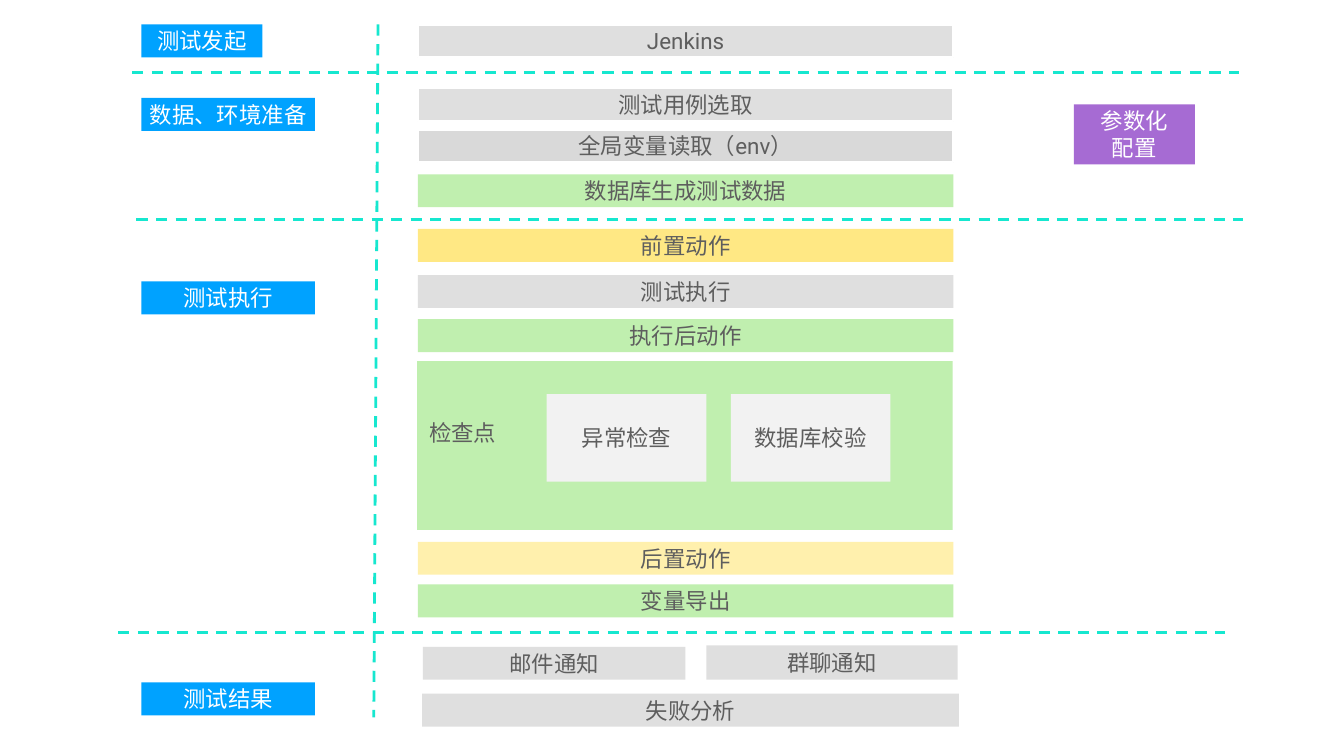
import pptx
import pptx.dml.color
import pptx.enum.dml
import pptx.enum.shapes
import pptx.enum.text
import pptx.util
import lxml.etree

Pt = pptx.util.Pt
RGB = pptx.dml.color.RGBColor.from_string
ALIGN = pptx.enum.text.PP_ALIGN

COLORS = {
    "blue": "00A2FF", "purple": "A66BD3", "gray": "DFDFDF", "dark_gray": "D9D9D9",
    "light_gray": "F2F2F2", "green": "C0EFAF", "yellow": "FFE884",
    "pale_yellow": "FFF0AD", "teal": "16E7CF", "white": "FFFFFF", "text": "5E5E5E",
}
FRAME_FORMAT = {
    "margin_left": Pt(4), "margin_right": Pt(4), "margin_top": Pt(4), "margin_bottom": Pt(4),
    "word_wrap": True, "vertical_anchor": pptx.enum.text.MSO_ANCHOR.MIDDLE,
}
FONT_FORMAT = {"name": "Roboto", "size": Pt(32)}

deck = pptx.Presentation()
deck.slide_width, deck.slide_height = Pt(1920), Pt(1080)
slide = deck.slides.add_slide(deck.slide_layouts[6])


def add_block(text, left, top, width, height, fill, font_color="text", outlined=False):
    block = slide.shapes.add_shape(
        pptx.enum.shapes.MSO_SHAPE.RECTANGLE, Pt(left), Pt(top), Pt(width), Pt(height))
    block.shadow.inherit = False
    block.fill.solid()
    block.fill.fore_color.rgb = RGB(COLORS[fill])
    if outlined:
        block.line.color.rgb = RGB(COLORS["white"])
        block.line.width = Pt(3)
    else:
        block.line.fill.background()
    frame = block.text_frame
    for attribute, value in FRAME_FORMAT.items():
        setattr(frame, attribute, value)
    frame.text = text
    for paragraph in frame.paragraphs:
        paragraph.alignment = ALIGN.CENTER
        for attribute, value in FONT_FORMAT.items():
            setattr(paragraph.font, attribute, value)
        paragraph.font.color.rgb = RGB(COLORS[font_color])
    return block


BAR_HEIGHT = 47
STEP_LEFT, STEP_WIDTH = 597, 765
STAGE_LEFT = 202

stages = [
    ("测试发起", 35, 173),
    ("数据、环境准备", 140, 248),
    ("测试执行", 402, 248),
    ("测试结果", 975, 248),
]
for label, top, width in stages:
    add_block(label, STAGE_LEFT, top, width, BAR_HEIGHT, "blue", "white")

steps = [
    ("Jenkins", 35, "gray", True),
    ("测试用例选取", 126, "gray", True),
    ("全局变量读取（env）", 185, "dark_gray", True),
    ("数据库生成测试数据", 249, "green", False),
    ("前置动作", 327, "yellow", False),
    ("测试执行", 393, "gray", False),
    ("执行后动作", 456, "green", False),
    ("后置动作", 774, "pale_yellow", False),
    ("变量导出", 835, "green", False),
]
for label, top, fill, outlined in steps:
    add_block(label, STEP_LEFT, top, STEP_WIDTH, BAR_HEIGHT, fill, outlined=outlined)

checkpoint = add_block("检查点", STEP_LEFT - 1, 516, STEP_WIDTH, 241, "green")
checkpoint.text_frame.paragraphs[0].alignment = ALIGN.LEFT
checkpoint.text_frame.margin_left = Pt(17)
checkpoint.text_frame.margin_bottom = Pt(42)
for label, left in [("异常检查", 781), ("数据库校验", 1044)]:
    add_block(label, left, 563, 228, 125, "light_gray")

add_block("邮件通知", 604, 924, 375, BAR_HEIGHT, "gray")
add_block("群聊通知", 1009, 922, 359, 49, "gray")
add_block("失败分析", 603, 991, 767, BAR_HEIGHT, "gray")
add_block("参数化\n配置", 1534, 149, 173, 86, "purple", "white")

DIVIDER_WIDTH = 1581
dividers = [(left, y, left + DIVIDER_WIDTH, y) for left, y in [(189, 104), (195, 314), (169, 904)]]
dividers.append((540, 35, 534, 1025))
for ends in dividers:
    divider = slide.shapes.add_connector(
        pptx.enum.shapes.MSO_CONNECTOR.STRAIGHT, *[Pt(end) for end in ends])
    divider.line.color.rgb = RGB(COLORS["teal"])
    divider.line.width = Pt(4)
    divider.line.dash_style = pptx.enum.dml.MSO_LINE.DASH
    lxml.etree.SubElement(divider._element.spPr, pptx.oxml.ns.qn("a:effectLst"))

deck.save("out.pptx")
